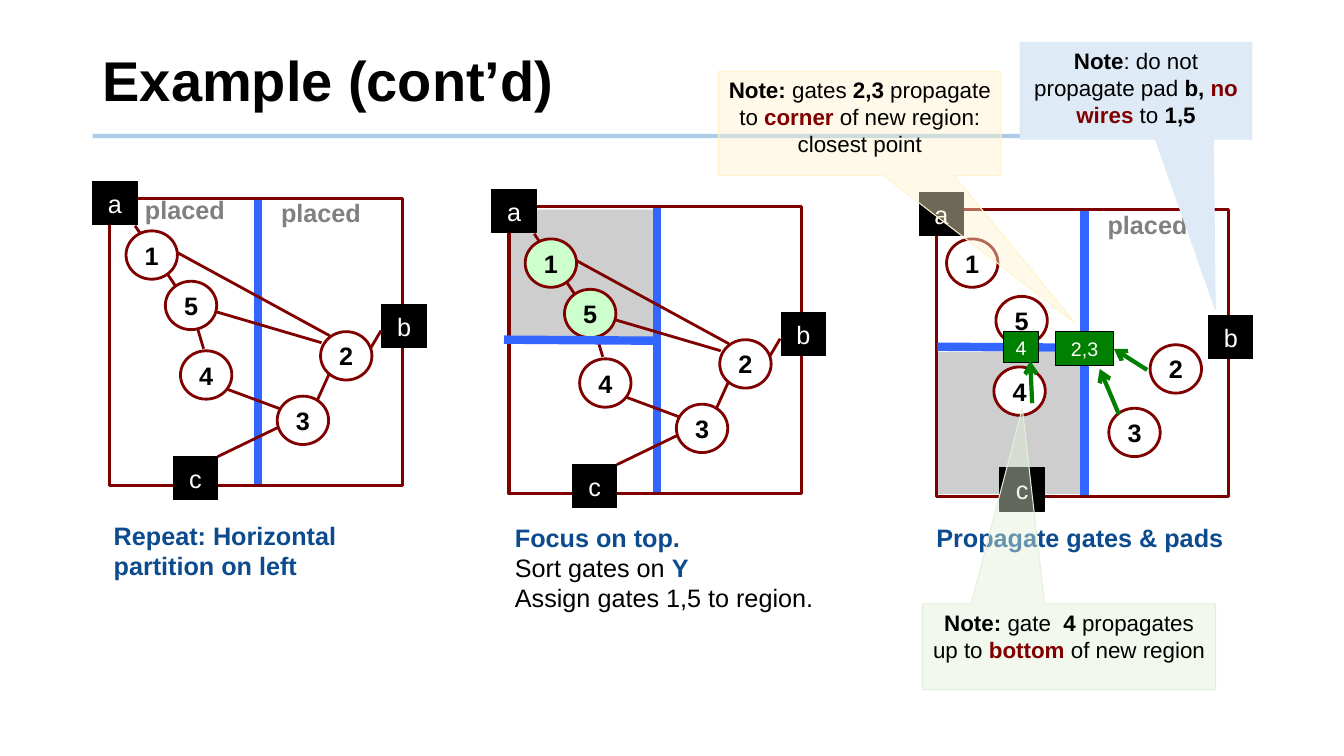
import lxml.etree
import pptx
import pptx.dml.color
import pptx.enum.shapes
import pptx.enum.text
import pptx.oxml.ns
import pptx.util

RGBColor = pptx.dml.color.RGBColor
BLACK = RGBColor(0x00, 0x00, 0x00)
WHITE = RGBColor(0xFF, 0xFF, 0xFF)
MAROON = RGBColor(0x80, 0x00, 0x00)
BLUE = RGBColor(0x33, 0x66, 0xFF)
NAVY = RGBColor(0x0B, 0x4B, 0x8E)
GRAY = RGBColor(0x80, 0x80, 0x80)
SHADE = RGBColor(0xCE, 0xCE, 0xCE)
GREEN = RGBColor(0x00, 0x80, 0x00)
MINT = RGBColor(0xCC, 0xFF, 0xCC)
RULE = RGBColor(0x5B, 0x9B, 0xD5)
PALE_BLUE = RGBColor(0xDE, 0xEB, 0xF7)
PALE_YELLOW = RGBColor(0xFF, 0xF2, 0xCC)
PALE_GREEN = RGBColor(0xE2, 0xF0, 0xD9)

COLUMNS, ROWS = 133.33, 75
SHAPES = pptx.enum.shapes.MSO_SHAPE
ANCHOR = pptx.enum.text.MSO_ANCHOR
ALIGN = pptx.enum.text.PP_ALIGN
qn = pptx.oxml.ns.qn

PADS = {"a": (-1.7, -1.7), "c": (6.3, 25.6), "b": (27, 10.5)}
GATES = {"2": (20.9, 13.2), "3": (16.6, 19.6), "1": (1.6, 3.2),
         "5": (5.5, 8.2), "4": (7, 15.1)}
MOVED_GATES = {"3": (17.1, 19.7), "1": (1, 2.9), "5": (5.9, 8.6),
               "4": (5.7, 15.6), "2": (21.2, 13.4)}
WIRES = [
    (6.4, 5.2, 21.8, 13.6), (26.9, 13.1, 25.3, 15.8),
    (10.1, 11.1, 21, 14.3), (21.8, 17.3, 20.4, 20.4),
    (2.5, 2.7, 7.4, 10), (17, 20.9, 11.6, 18.9),
    (9.3, 14.9, 8.7, 12.9), (16.7, 22.7, 10.7, 25.6),
]


def cells(count):
    return pptx.util.Inches(count / 10)


def add_text(para, text, size=18, color=BLACK, bold=False):
    span = para.add_run()
    span.text = text
    span.font.name = "Arial"
    span.font.size = pptx.util.Pt(size)
    span.font.color.rgb = color
    span.font.bold = bold


def set_alpha(holder, percent):
    color = holder.find(qn("a:solidFill")).find(qn("a:srgbClr"))
    lxml.etree.SubElement(color, qn("a:alpha"), val=str(percent * 1000))


class Sketch:
    def __init__(self, slide):
        self.slide = slide
        self.left, self.top = 0, 0

    def start_panel(self, left, top):
        self.left, self.top = left, top

    def line(self, x1, y1, x2, y2, color=MAROON, width=2, arrow=False, alpha=None):
        line = self.slide.shapes.add_connector(
            pptx.enum.shapes.MSO_CONNECTOR.STRAIGHT,
            cells(self.left + x1), cells(self.top + y1),
            cells(self.left + x2), cells(self.top + y2))
        line.line.color.rgb = color
        line.line.width = pptx.util.Pt(width)
        properties = line.element.spPr
        outline = properties.find(qn("a:ln"))
        if alpha:
            set_alpha(outline, alpha)
        if arrow:
            lxml.etree.SubElement(outline, qn("a:tailEnd"), type="arrow")
        lxml.etree.SubElement(properties, qn("a:effectLst"))

    def shape(self, kind, x, y, width, height, fill=None, outline=None, weight=0.75):
        shape = self.slide.shapes.add_shape(
            kind, cells(self.left + x), cells(self.top + y), cells(width), cells(height))
        shape.shadow.inherit = False
        if fill is None:
            shape.fill.background()
        else:
            shape.fill.solid()
            shape.fill.fore_color.rgb = fill
        if outline is None:
            shape.line.fill.background()
        else:
            shape.line.color.rgb = outline
            shape.line.width = pptx.util.Pt(weight)
        return shape

    def label(self, shape, text, **style):
        frame = shape.text_frame
        frame.word_wrap = False
        frame.vertical_anchor = ANCHOR.MIDDLE
        frame.paragraphs[0].alignment = ALIGN.CENTER
        add_text(frame.paragraphs[0], text, **style)

    def tag(self, text, x, y, width, height, fill=BLACK, size=18):
        box = self.shape(SHAPES.RECTANGLE, x, y, width, height, fill, BLACK)
        self.label(box, text, size=size, color=WHITE)

    def pads(self):
        for name, (x, y) in PADS.items():
            self.tag(name, x, y, 4.4, 4.3)

    def gates(self, places, marked=""):
        for name, (x, y) in places.items():
            fill = MINT if name in marked else WHITE
            gate = self.shape(SHAPES.OVAL, x, y, 5.1, 4.8, fill, MAROON, 2)
            self.label(gate, name, bold=True)

    def wires(self):
        for wire in WIRES:
            self.line(*wire)

    def shade(self, x, y, width, height):
        self.shape(SHAPES.RECTANGLE, x, y, width, height, SHADE)

    def region(self):
        self.line(14.7, 0, 14.7, 28.5, BLUE, 6)
        self.shape(SHAPES.RECTANGLE, 0, 0, 29, 28.5, outline=MAROON, weight=2.25)

    def split(self, x, y):
        self.line(x, y, x + 14.8, y + 0.1, BLUE, 6)

    def text(self, x, y, width, height, lines, **style):
        box = self.slide.shapes.add_textbox(
            cells(self.left + x), cells(self.top + y), cells(width), cells(height))
        frame = box.text_frame
        frame.word_wrap = False
        for index, spans in enumerate(lines):
            para = frame.add_paragraph() if index else frame.paragraphs[0]
            for text, color in spans:
                add_text(para, text, color=color, bold=color != BLACK or "size" in style, **style)
        return frame

    def placed(self, x, y):
        self.text(x, y, 10, 4, [[("placed", GRAY)]])

    def callout(self, x, y, width, height, tip, fill, spans, alpha=None):
        note = self.shape(SHAPES.RECTANGULAR_CALLOUT, x, y, width, height, fill, fill)
        note.adjustments[0], note.adjustments[1] = tip
        if alpha:
            set_alpha(note.element.spPr, alpha)
        frame = note.text_frame
        frame.word_wrap = True
        frame.vertical_anchor = ANCHOR.TOP
        para = frame.paragraphs[0]
        para.alignment = ALIGN.CENTER
        for text, color, bold in spans:
            add_text(para, text, size=16, color=color, bold=bold)


def main():
    deck = pptx.Presentation()
    deck.slide_width, deck.slide_height = cells(COLUMNS), cells(ROWS)
    sketch = Sketch(deck.slides.add_slide(deck.slide_layouts[6]))

    sketch.line(9.2, 13.5, 124.2, 13.5, RULE, 3, alpha=50)
    title = sketch.text(9.2, 2.8, 115, 11, [[("Example (cont’d)", BLACK)]], size=40)
    title.vertical_anchor = ANCHOR.MIDDLE
    title.word_wrap = True
    title.paragraphs[0].line_spacing = 0.9

    sketch.start_panel(10.9, 19.7)
    sketch.region()
    sketch.pads()
    sketch.placed(2.5, -0.9)
    sketch.placed(16, -0.6)
    sketch.wires()
    sketch.gates(GATES)
    sketch.text(-0.6, 31.4, 24.3, 7.1,
                [[("Repeat: Horizontal", NAVY)], [("partition on left", NAVY)]])

    sketch.start_panel(50.5, 20.5)
    sketch.shade(0.2, 0.3, 14.4, 13.3)
    sketch.region()
    sketch.pads()
    sketch.wires()
    sketch.gates(GATES, marked="15")
    sketch.split(-0.5, 13.2)
    sketch.text(-0.4, 30.8, 31.9, 10.1,
                [[("Focus on top.", NAVY)],
                 [("Sort gates on ", BLACK), ("Y", NAVY)],
                 [("Assign gates 1,5 to region.", BLACK)]])

    sketch.start_panel(92.9, 20.8)
    sketch.shade(0.1, 14.1, 14.8, 14.1)
    sketch.region()
    sketch.pads()
    sketch.gates(MOVED_GATES)
    sketch.placed(16, -0.5)
    sketch.split(0.1, 13.6)
    sketch.tag("4", 6.7, 12.1, 3.4, 3.1, GREEN, 14)
    sketch.tag("2,3", 11.8, 12.1, 5.8, 3.4, GREEN, 14)
    sketch.text(-1, 30.5, 31.5, 4, [[("Propagate gates & pads", NAVY)]])
    for arrow in [(18.1, 20.3, 16.2, 15.8), (20.9, 15.9, 17.6, 13.8), (9.5, 19.2, 9.3, 15)]:
        sketch.line(*arrow, GREEN, 3, arrow=True)

    sketch.start_panel(0, 0)
    sketch.callout(101.2, 4.2, 23, 9.6, (0.342, 2.257), PALE_BLUE, [
        ("Note", BLACK, True), (": do not propagate pad ", BLACK, False),
        ("b, ", BLACK, True), ("no wires", MAROON, True),
        (" to ", BLACK, False), ("1,5", BLACK, True)])
    sketch.callout(71.3, 7.1, 28, 10.3, (0.763, 1.923), PALE_YELLOW, [
        ("Note: ", BLACK, True), ("gates", BLACK, False), (" 2,3", BLACK, True),
        (" propagate to ", BLACK, False), ("corner", MAROON, True),
        (" of new region: closest point", BLACK, False)], alpha=43)
    sketch.callout(91.5, 59.9, 29.1, 8.5, (-0.159, -2.78), PALE_GREEN, [
        ("Note: ", BLACK, True), ("gate  ", BLACK, False), ("4", BLACK, True),
        (" propagates up to ", BLACK, False), ("bottom ", MAROON, True),
        ("of new region", BLACK, False)], alpha=43)

    deck.save("out.pptx")


if __name__ == "__main__":
    main()
